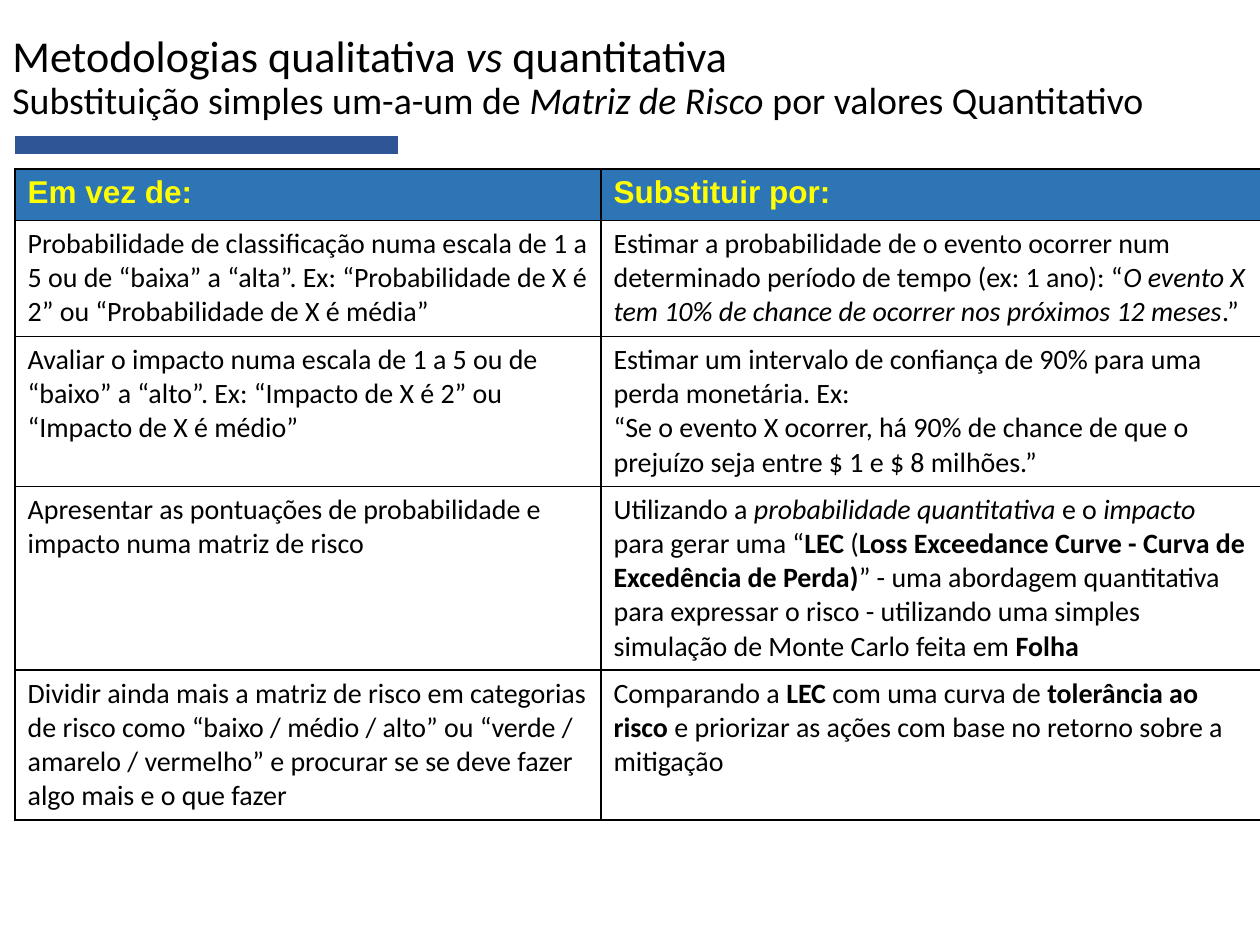
from dataclasses import dataclass

from lxml.etree import SubElement
from pptx import Presentation
from pptx.dml.color import RGBColor
from pptx.enum.shapes import MSO_CONNECTOR as Connector
from pptx.enum.text import MSO_ANCHOR as Anchor
from pptx.oxml.ns import qn
from pptx.util import Inches, Pt

BLACK = RGBColor(0x00, 0x00, 0x00)
YELLOW = RGBColor(0xFF, 0xFF, 0x00)
HEADER_BLUE = RGBColor(0x2E, 0x75, 0xB6)
ACCENT_BLUE = RGBColor(0x2F, 0x55, 0x97)


@dataclass(frozen=True)
class Style:
    size: float
    font: str = "Calibri"
    color: RGBColor = BLACK
    bold: bool = False


@dataclass(frozen=True)
class Piece:
    text: str
    bold: bool = False
    italic: bool = False


@dataclass(frozen=True)
class Replacement:
    height: float
    before: list[list[Piece]]
    after: list[list[Piece]]


HEADING = Style(25.2)
SUBHEADING = Style(21.6)
HEADER = Style(18, "Arial", YELLOW, True)
BODY = Style(16)

HEADER_HEIGHT = 0.41
COLUMN_WIDTHS = (4.65, 5.24)
HEADERS = ("Em vez de:", "Substituir por:")

REPLACEMENTS = [
    Replacement(
        0.92,
        [[Piece("Probabilidade de classificação numa escala de 1 a 5 ou de “baixa” a “alta”. "
                "Ex: “Probabilidade de X é 2” ou “Probabilidade de X é média”")]],
        [[Piece("Estimar a probabilidade de o evento ocorrer num determinado período de tempo "
                "(ex: 1 ano): “"),
          Piece("O evento X tem 10% de chance de ocorrer nos próximos 12 meses", italic=True),
          Piece(".”")]],
    ),
    Replacement(
        1.19,
        [[Piece("Avaliar o impacto numa escala de 1 a 5 ou de “baixo” a “alto”. "
                "Ex: “Impacto de X é 2” ou “Impacto de X é médio”")]],
        [[Piece("Estimar um intervalo de confiança de 90% para uma perda monetária. Ex:")],
         [Piece("“Se o evento X ocorrer, há 90% de chance de que o prejuízo seja entre "
                "$ 1 e $ 8 milhões.”")]],
    ),
    Replacement(
        1.46,
        [[Piece("Apresentar as pontuações de probabilidade e impacto numa matriz de risco")]],
        [[Piece("Utilizando a "),
          Piece("probabilidade quantitativa ", italic=True),
          Piece("e o "),
          Piece("impacto", italic=True),
          Piece(" para gerar uma “"),
          Piece("LEC", bold=True),
          Piece(" ("),
          Piece("Loss Exceedance Curve - Curva de Excedência de Perda)", bold=True),
          Piece("” - uma abordagem quantitativa para expressar o risco - utilizando uma "
                "simples simulação de Monte Carlo feita em "),
          Piece("Folha", bold=True)]],
    ),
    Replacement(
        1.19,
        [[Piece("Dividir ainda mais a matriz de risco em categorias de risco como "
                "“baixo / médio / alto” ou “verde / amarelo / vermelho” e procurar se se "
                "deve fazer algo mais e o que fazer")]],
        [[Piece("Comparando a "),
          Piece("LEC ", bold=True),
          Piece("com uma curva de "),
          Piece("tolerância ao risco", bold=True),
          Piece(" e priorizar as ações com base no retorno sobre a mitigação")]],
    ),
]


def add_runs(paragraph, pieces: list[Piece], style: Style) -> None:
    for piece in pieces:
        run = paragraph.add_run()
        run.text = piece.text
        run.font.name = style.font
        run.font.size = Pt(style.size)
        run.font.color.rgb = style.color
        run.font.bold = style.bold or piece.bold
        run.font.italic = piece.italic


def add_borders(cell) -> None:
    properties = cell._tc.get_or_add_tcPr()
    for side in ("a:lnL", "a:lnR", "a:lnT", "a:lnB"):
        border = SubElement(properties, qn(side), w=str(Pt(1)))
        fill = SubElement(border, qn("a:solidFill"))
        SubElement(fill, qn("a:srgbClr"), val=str(BLACK))


def fill_cell(cell, paragraphs: list[list[Piece]], style: Style,
              background: RGBColor | None = None) -> None:
    add_borders(cell)
    if background is None:
        cell.fill.background()
    else:
        cell.fill.solid()
        cell.fill.fore_color.rgb = background
    frame = cell.text_frame
    for index, pieces in enumerate(paragraphs):
        paragraph = frame.add_paragraph() if index else frame.paragraphs[0]
        add_runs(paragraph, pieces, style)


def add_accent(slide) -> None:
    accent = slide.shapes.add_connector(
        Connector.STRAIGHT, Inches(0.12), Inches(1.15), Inches(3.16), Inches(1.15))
    accent.line.color.rgb = ACCENT_BLUE
    accent.line.width = Pt(10)
    SubElement(accent._element.spPr, qn("a:effectLst"))


def add_title(slide) -> None:
    frame = slide.shapes.add_textbox(
        Inches(0), Inches(0.02), Inches(10), Inches(1.21)).text_frame
    frame.word_wrap = True
    frame.vertical_anchor = Anchor.MIDDLE
    title = frame.paragraphs[0]
    title.line_spacing = 0.9
    add_runs(title, [Piece("Metodologias qualitativa "), Piece("vs", italic=True),
                     Piece(" quantitativa")], HEADING)
    title.add_line_break()
    add_runs(title, [Piece("Substituição simples um-a-um de "),
                     Piece("Matriz de Risco", italic=True),
                     Piece(" por valores Quantitativo")], SUBHEADING)


def add_comparison(slide) -> None:
    heights = [HEADER_HEIGHT] + [row.height for row in REPLACEMENTS]
    comparison = slide.shapes.add_table(
        len(heights), len(COLUMN_WIDTHS), Inches(0.12), Inches(1.34),
        Inches(sum(COLUMN_WIDTHS)), Inches(sum(heights))).table
    comparison.first_row = False
    comparison.horz_banding = False
    for column, width in zip(comparison.columns, COLUMN_WIDTHS):
        column.width = Inches(width)
    for row, height in zip(comparison.rows, heights):
        row.height = Inches(height)
    for column, header in enumerate(HEADERS):
        fill_cell(comparison.cell(0, column), [[Piece(header)]], HEADER, HEADER_BLUE)
    for row, replacement in enumerate(REPLACEMENTS, start=1):
        fill_cell(comparison.cell(row, 0), replacement.before, BODY)
        fill_cell(comparison.cell(row, 1), replacement.after, BODY)


def main() -> None:
    presentation = Presentation()
    presentation.slide_width = Inches(10)
    presentation.slide_height = Inches(7.5)
    slide = presentation.slides.add_slide(presentation.slide_layouts[6])
    add_accent(slide)
    add_title(slide)
    add_comparison(slide)
    presentation.save("out.pptx")


if __name__ == "__main__":
    main()
